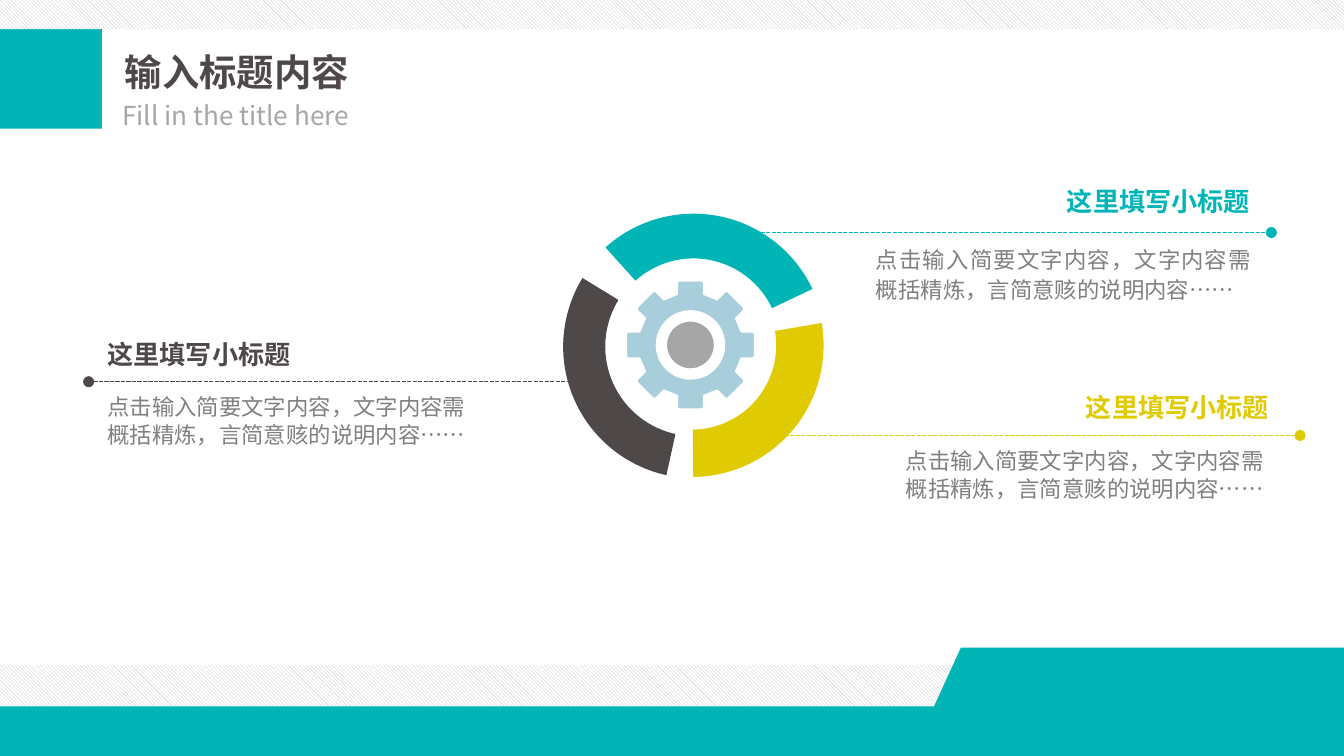
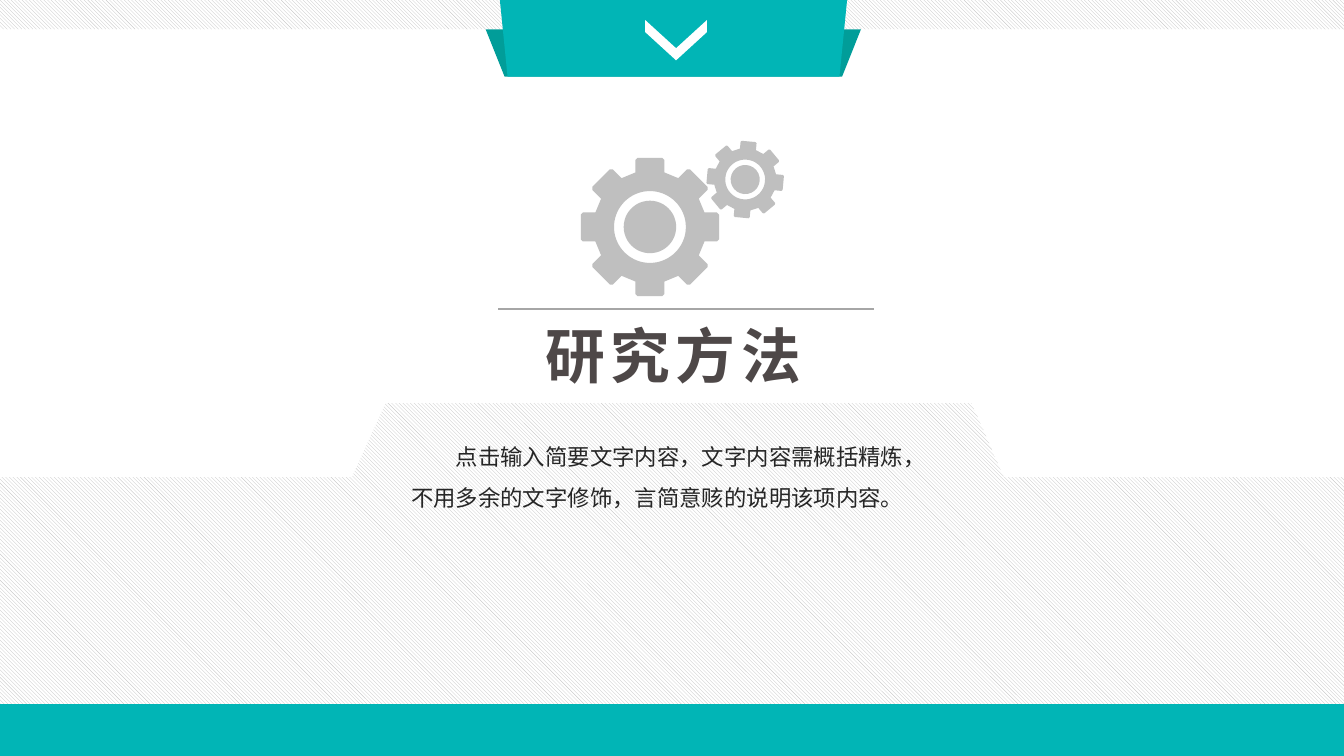
from dataclasses import dataclass
from math import cos, pi, sin

from lxml import etree
from pptx import Presentation
from pptx.dml.color import RGBColor
from pptx.enum.dml import MSO_LINE, MSO_PATTERN
from pptx.enum.shapes import MSO_CONNECTOR, MSO_SHAPE
from pptx.enum.text import MSO_AUTO_SIZE, PP_ALIGN
from pptx.oxml.ns import qn
from pptx.shapes.autoshape import Shape
from pptx.shapes.connector import Connector
from pptx.slide import Slide
from pptx.util import Pt

RECTANGLE, OVAL = MSO_SHAPE.RECTANGLE, MSO_SHAPE.OVAL
BLOCK_ARC, TRAPEZOID, CHEVRON = MSO_SHAPE.BLOCK_ARC, MSO_SHAPE.TRAPEZOID, MSO_SHAPE.CHEVRON
STRAIGHT = MSO_CONNECTOR.STRAIGHT
SYS_DASH = MSO_LINE.SQUARE_DOT
DIAGONAL = MSO_PATTERN.LIGHT_DOWNWARD_DIAGONAL
FIT_TEXT = MSO_AUTO_SIZE.SHAPE_TO_FIT_TEXT
LEFT, JUSTIFY = PP_ALIGN.LEFT, PP_ALIGN.JUSTIFY

FONT = "Noto Sans CJK SC"
WIDTH, HEIGHT = 720, 405
COLORS = {
    "teal": "01B5B6",
    "fold": "019D99",
    "dark": "4E4848",
    "yellow": "E0CB02",
    "sky": "A9CEDB",
    "hub": "A6A6A6",
    "silver": "BFBFBF",
    "body": "808080",
    "ink": "262626",
    "white": "FFFFFF",
}
HATCH = "hatch"

Point = tuple[float, float]
Box = tuple[float, float, float, float]


@dataclass(frozen=True)
class TextStyle:
    size: float
    color: str
    bold: bool = False
    align: PP_ALIGN = LEFT
    line_spacing: float | Pt | None = None
    indent: float = 0
    tracking: float = 0
    wrap: bool = True


@dataclass(frozen=True)
class Gear:
    center: Point
    radius: float
    color: str
    hub_color: str
    tilt: float = 0
    outline: str | None = None


@dataclass(frozen=True)
class Arc:
    left: float
    top: float
    rotation: float
    adjustments: tuple[float, float, float]
    color: str


@dataclass(frozen=True)
class Callout:
    color: str
    leader_start: Point
    leader_length: float
    heading_at: Point
    summary_at: Point
    summary_align: PP_ALIGN = LEFT
    summary_leading: float = 15


HEADING = "这里填写小标题"
SUMMARY = "点击输入简要文字内容，文字内容需概括精炼，言简意赅的说明内容……"
SECTION_SUMMARY = "点击输入简要文字内容，文字内容需概括精炼，不用多余的文字修饰，言简意赅的说明该项内容。"

ARC_SIZE = 141
ARCS = [
    Arc(301.7, 115.2, 277.4, (111.03, 176.43, 0.16), "dark"),
    Arc(301, 114.5, 51.5, (105.92, 169.9, 0.17), "teal"),
    Arc(300.2, 114.5, 162.6, (112.54, 172.11, 0.18), "yellow"),
]
CALLOUTS = [
    Callout("dark", (47.5, 204.5), 266.4, (50.4, 177.8), (50.4, 206.6)),
    Callout("teal", (393.1, 124.6), 288, (564.5, 95.8), (462.2, 126.7), JUSTIFY, 16),
    Callout("yellow", (409, 233.3), 287.5, (574.6, 205.9), (478.1, 235.4)),
]
RING_GEAR = Gear((369.9, 184.8), 34.6, "sky", "hub", outline="white")
SECTION_GEARS = [
    Gear((348.2, 121.6), 37, "silver", "silver"),
    Gear((399.2, 96.2), 20.5, "silver", "silver", tilt=5.3),
]


def rgb(name: str) -> RGBColor:
    return RGBColor.from_string(COLORS[name])


def paint(shape: Shape, color: str, outline: str | None = None) -> None:
    """Fill with a colour or the diagonal hatch, with an optional outline."""
    shape.shadow.inherit = False
    if color == HATCH:
        shape.fill.patterned()
        shape.fill.pattern = DIAGONAL
        shape.fill.fore_color.rgb = rgb("silver")
        shape.fill.back_color.rgb = rgb("white")
    else:
        shape.fill.solid()
        shape.fill.fore_color.rgb = rgb(color)
    if outline:
        shape.line.color.rgb = rgb(outline)
        shape.line.width = Pt(1.25)
    else:
        shape.line.fill.background()


def add_preset(slide: Slide, kind: MSO_SHAPE, box: Box, color: str,
               adjustments: tuple[float, ...] = (), rotation: float = 0,
               outline: str | None = None) -> Shape:
    shape = slide.shapes.add_shape(kind, *map(Pt, box))
    for index, value in enumerate(adjustments):
        shape.adjustments[index] = value
    shape.rotation = rotation
    paint(shape, color, outline)
    return shape


def add_outline(slide: Slide, contours: list[list[Point]], color: str,
                outline: str | None = None) -> Shape:
    """Draw closed contours as one freeform; inner contours become holes."""
    paths = [[(Pt(x), Pt(y)) for x, y in contour] for contour in contours]
    builder = slide.shapes.build_freeform(*paths[0][0])
    builder.add_line_segments(paths[0][1:], close=True)
    for contour in paths[1:]:
        builder.move_to(*contour[0])
        builder.add_line_segments(contour[1:], close=True)
    shape = builder.convert_to_shape()
    paint(shape, color, outline)
    return shape


def add_line(slide: Slide, start: Point, end: Point, color: str) -> Connector:
    connector = slide.shapes.add_connector(STRAIGHT, *map(Pt, start + end))
    connector.line.color.rgb = rgb(color)
    connector.line.width = Pt(0.75)
    etree.SubElement(connector._element.spPr, qn("a:effectLst"))
    return connector


def add_leader(slide: Slide, start: Point, length: float, color: str) -> None:
    """Draw a horizontal dashed line with a dot at each end."""
    leader = add_line(slide, start, (start[0] + length, start[1]), color)
    leader.line.dash_style = SYS_DASH
    stroke = leader.line._get_or_add_ln()
    for end in ("a:headEnd", "a:tailEnd"):
        etree.SubElement(stroke, qn(end)).set("type", "oval")


def add_text(slide: Slide, box: Box, text: str, style: TextStyle) -> None:
    frame = slide.shapes.add_textbox(*map(Pt, box)).text_frame
    frame.word_wrap = style.wrap
    frame.auto_size = FIT_TEXT
    frame.text = text
    paragraph = frame.paragraphs[0]
    paragraph.alignment = style.align
    if style.line_spacing:
        paragraph.line_spacing = style.line_spacing
    if style.indent:
        paragraph._p.get_or_add_pPr().set("indent", str(Pt(style.indent)))
    run = paragraph.runs[0]
    run.font.size = Pt(style.size)
    run.font.bold = style.bold
    run.font.color.rgb = rgb(style.color)
    run.font.name = FONT
    properties = run._r.get_or_add_rPr()
    etree.SubElement(properties, qn("a:ea")).set("typeface", FONT)
    if style.tracking:
        properties.set("spc", str(int(style.tracking * 100)))


def gear_contours(gear: Gear, teeth: int = 8, hole_steps: int = 72) -> list[list[Point]]:
    center_x, center_y = gear.center
    radius = gear.radius
    half, root, bevel = 0.21, 0.79, 0.03
    tooth = [(-half, -root), (-half, bevel - 1), (bevel - half, -1),
             (half - bevel, -1), (half, bevel - 1), (half, -root)]
    rim = []
    for index in range(teeth):
        angle = 2 * pi * index / teeth
        rim += [(center_x + radius * (x * cos(angle) - y * sin(angle)),
                 center_y + radius * (x * sin(angle) + y * cos(angle)))
                for x, y in tooth]
    hole_radius = 0.52 * radius
    hole = [(center_x + hole_radius * cos(2 * pi * step / hole_steps),
             center_y - hole_radius * sin(2 * pi * step / hole_steps))
            for step in range(hole_steps)]
    return [rim, hole]


def add_gear(slide: Slide, gear: Gear) -> None:
    wheel = add_outline(slide, gear_contours(gear), gear.color, gear.outline)
    wheel.rotation = gear.tilt
    hub = 0.38 * gear.radius
    x, y = gear.center
    add_preset(slide, OVAL, (x - hub, y - hub, 2 * hub, 2 * hub), gear.hub_color,
               rotation=gear.tilt, outline=gear.outline)


def add_top_band(slide: Slide) -> None:
    add_preset(slide, RECTANGLE, (0, 0, WIDTH, 15.7), HATCH)


def add_title(slide: Slide, title: str, subtitle: str) -> None:
    add_preset(slide, RECTANGLE, (0, 15.5, 54.6, 53.5), "teal")
    add_text(slide, (59.8, 23, 141, 31.7), title, TextStyle(20, "dark", bold=True))
    add_text(slide, (58.3, 49.7, 141, 24.5), subtitle, TextStyle(14, "hub", wrap=False))


def add_callout(slide: Slide, callout: Callout) -> None:
    add_leader(slide, callout.leader_start, callout.leader_length, callout.color)
    add_text(slide, (*callout.heading_at, 116.6, 24.5), HEADING,
             TextStyle(14, callout.color, bold=True, align=JUSTIFY))
    add_text(slide, (*callout.summary_at, 215.3, 37.4), SUMMARY,
             TextStyle(12, "body", align=callout.summary_align,
                       line_spacing=Pt(callout.summary_leading)))


def build_ring_slide(slide: Slide) -> None:
    add_preset(slide, RECTANGLE, (0, 356.4, WIDTH, 36.7), HATCH)
    footer = [(WIDTH, HEIGHT), (0, HEIGHT), (0, 378.5), (500.4, 378.5),
              (514.8, 347), (WIDTH, 347)]
    add_outline(slide, [footer], "teal")
    add_title(slide, "输入标题内容", "Fill in the title here")
    for arc in ARCS:
        add_preset(slide, BLOCK_ARC, (arc.left, arc.top, ARC_SIZE, ARC_SIZE),
                   arc.color, arc.adjustments, arc.rotation)
    for callout in CALLOUTS:
        add_callout(slide, callout)
    add_top_band(slide)
    add_gear(slide, RING_GEAR)


def build_section_slide(slide: Slide) -> None:
    for gear in SECTION_GEARS:
        add_gear(slide, gear)
    add_line(slide, (267, 165.6), (468, 165.6), "hub")
    add_preset(slide, RECTANGLE, (228.2, 166.3, 256.3, 65.5), "white")
    plinth = [(206.6, 216), (520.6, 216), (537.8, 255.6), (WIDTH, 255.6),
              (WIDTH, HEIGHT), (0, HEIGHT), (0, 255.6), (188.6, 255.6)]
    add_outline(slide, [plinth], HATCH)
    add_preset(slide, RECTANGLE, (0, 377.2, WIDTH, HEIGHT - 377.2), "teal")
    add_top_band(slide)
    add_text(slide, (275, 167, 175, 46), "研究方法",
             TextStyle(32, "dark", bold=True, align=JUSTIFY, indent=10, tracking=3))
    add_preset(slide, TRAPEZOID, (260.2, 15.8, 201, 25.2), "fold", (0.4,), 180)
    add_preset(slide, TRAPEZOID, (267.8, 0, 186, 41), "teal", (0.1,), 180)
    add_preset(slide, CHEVRON, (351.4, 5, 21.6, 33.1), "white", (0.7,), 90)
    add_text(slide, (213.1, 226.8, 296.6, 48.2), SECTION_SUMMARY,
             TextStyle(12, "ink", line_spacing=1.5, indent=24))


def main() -> None:
    deck = Presentation()
    deck.slide_width, deck.slide_height = Pt(WIDTH), Pt(HEIGHT)
    blank = deck.slide_layouts[6]
    for build in (build_ring_slide, build_section_slide):
        build(deck.slides.add_slide(blank))
    deck.save("out.pptx")


if __name__ == "__main__":
    main()
